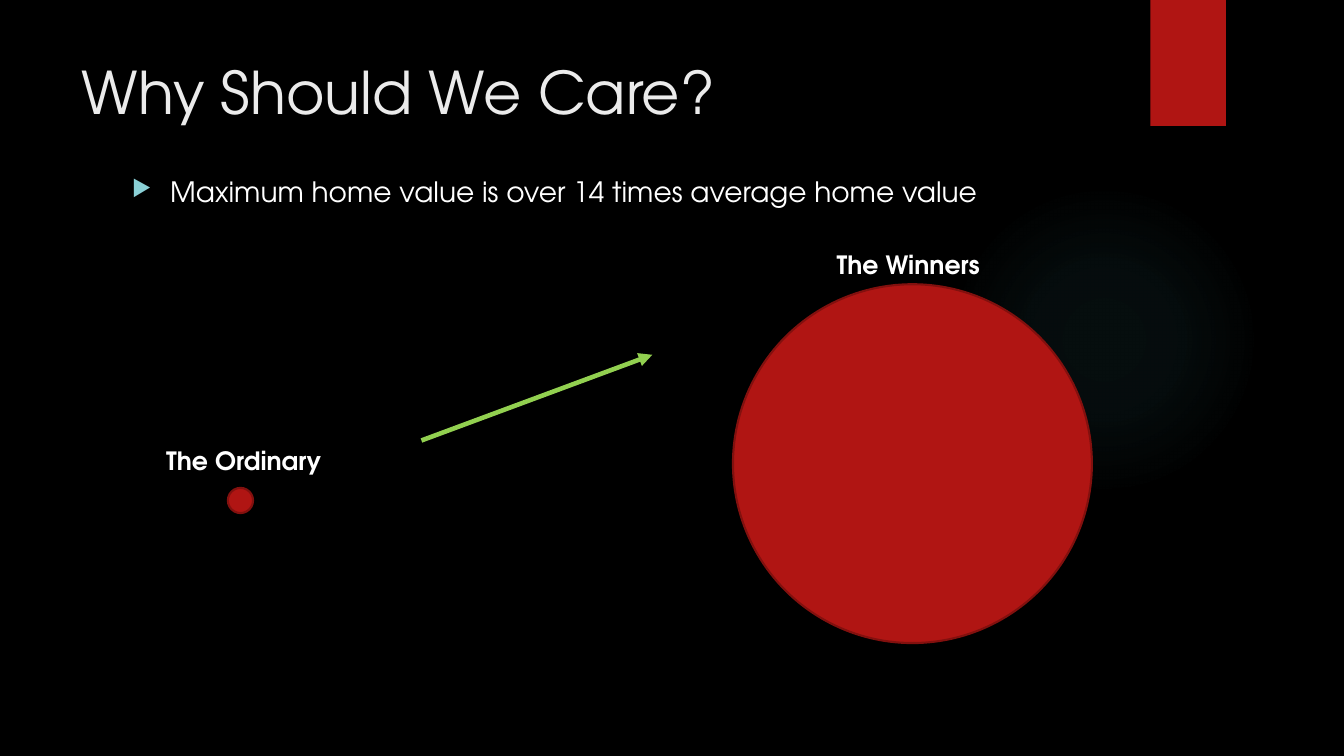
import pptx
import pptx.util
import pptx.dml.color
import pptx.enum.shapes
import pptx.enum.text
import pptx.oxml
import pptx.oxml.ns
from pptx.util import Inches

FONT = "TeX Gyre Adventor"
COLORS = {
    "background": "000000", "glow": "50B9C1", "red": "B01513",
    "outline": "82100E", "arrow": "92D050", "bullet": "8AD0D6",
    "title": "EBEBEB", "text": "FFFFFF",
}
TITLE = {"size": pptx.util.Pt(42), "bold": False, "name": FONT}
BODY = {"size": pptx.util.Pt(20), "bold": False, "name": FONT}
LABEL = {"size": pptx.util.Pt(18), "bold": True, "name": FONT}
SHAPES = pptx.enum.shapes.MSO_SHAPE
NS = pptx.oxml.ns.nsdecls("a")


def rgb(name):
    return pptx.dml.color.RGBColor.from_string(COLORS[name])


def xml(text):
    return pptx.oxml.parse_xml(text)


def write(sp, text, style, color):
    """Put one formatted, left-aligned line at the top of a text shape."""
    tf = sp.text_frame
    frame = {"word_wrap": True,
             "auto_size": pptx.enum.text.MSO_AUTO_SIZE.NONE,
             "vertical_anchor": pptx.enum.text.MSO_ANCHOR.TOP}
    for key, value in frame.items():
        setattr(tf, key, value)
    p = tf.paragraphs[0]
    p.alignment = pptx.enum.text.PP_ALIGN.LEFT
    r = p.add_run()
    r.text = text
    for key, value in style.items():
        setattr(r.font, key, value)
    r.font.color.rgb = rgb(color)
    return p


def add_text(s, box, text, style):
    sp = s.shapes.add_textbox(*map(Inches, box))
    return write(sp, text, style, "text")


def add_bullet(s, box, text):
    p = add_text(s, box, text, BODY)
    p.space_before = pptx.util.Pt(10)
    pPr = p._p.get_or_add_pPr()
    pPr.set("marL", str(Inches(0.38)))
    pPr.set("indent", str(Inches(-0.38)))
    for tag in (f'<a:buClr {NS}><a:srgbClr val="{COLORS["bullet"]}"/></a:buClr>',
                f'<a:buSzPct {NS} val="80000"/>',
                f'<a:buChar {NS} char="▶"/>'):
        pPr.append(xml(tag))


def add_solid(s, kind, box, outline=None):
    sp = s.shapes.add_shape(kind, *map(Inches, box))
    sp.shadow.inherit = False
    sp.fill.solid()
    sp.fill.fore_color.rgb = rgb("red")
    if outline:
        sp.line.color.rgb = rgb(outline)
        sp.line.width = pptx.util.Pt(1.5)
    else:
        sp.line.fill.background()
    return sp


def add_glow(s, box):
    sp = add_solid(s, SHAPES.OVAL, box)
    stops = "".join(
        f'<a:gs pos="{pos * 1000}"><a:srgbClr val="{COLORS["glow"]}">'
        f'<a:alpha val="{alpha * 1000}"/></a:srgbClr></a:gs>'
        for pos, alpha in ((0, 7), (36, 6), (69, 0)))
    spPr = sp._element.spPr
    solid = spPr.find(pptx.oxml.ns.qn("a:solidFill"))
    spPr.replace(solid, xml(
        f'<a:gradFill {NS}><a:gsLst>{stops}</a:gsLst><a:path path="circle">'
        '<a:fillToRect l="50000" t="50000" r="50000" b="50000"/>'
        '</a:path></a:gradFill>'))


def add_ribbon(s, box):
    sp = add_solid(s, SHAPES.RECTANGLE, box)
    effects = sp._element.spPr.find(pptx.oxml.ns.qn("a:effectLst"))
    effects.append(xml(
        f'<a:outerShdw {NS} blurRad="{pptx.util.Pt(3)}" dist="{pptx.util.Pt(2)}" '
        f'dir="5400000" rotWithShape="0"><a:srgbClr val="{COLORS["background"]}">'
        '<a:alpha val="45000"/></a:srgbClr></a:outerShdw>'))


def add_arrow(s, start, end):
    line = s.shapes.add_connector(
        pptx.enum.shapes.MSO_CONNECTOR.STRAIGHT, *map(Inches, start + end))
    line.line.color.rgb = rgb("arrow")
    line.line.width = pptx.util.Pt(3.25)
    line.line._get_or_add_ln().append(xml(f'<a:tailEnd {NS} type="triangle"/>'))
    line._element.spPr.append(xml(f'<a:effectLst {NS}/>'))


def add_title(s, box, text):
    sp = s.shapes.title
    sp.left, sp.top, sp.width, sp.height = map(Inches, box)
    write(sp, text, TITLE, "title")


def main():
    prs = pptx.Presentation()
    prs.slide_width, prs.slide_height = Inches(13.33), Inches(7.5)
    s = prs.slides.add_slide(prs.slide_layouts[5])
    s.background.fill.solid()
    s.background.fill.fore_color.rgb = rgb("background")

    # Backdrop
    add_glow(s, (9.41, 1.83, 3.08, 3.08))
    add_ribbon(s, (11.41, 0, 0.75, 1.25))

    # Heading and statement
    add_title(s, (0.71, 0.5, 10.29, 1.53), "Why Should We Care?")
    add_bullet(s, (1.21, 1.68, 9.78, 4.59),
               "Maximum home value is over 14 times average home value")

    # Circles in proportion, with the arrow between them
    for left, top, size in ((2.26, 4.84, 0.25), (7.27, 2.82, 3.56)):
        add_solid(s, SHAPES.OVAL, (left, top, size, size), "outline")
    add_arrow(s, (4.18, 4.37), (6.47, 3.52))

    # Circle labels
    for left, top, text in ((1.55, 4.37, "The Ordinary"),
                            (8.2, 2.42, "The Winners")):
        add_text(s, (left, top, 1.92, 0.4), text, LABEL)

    prs.save("out.pptx")


if __name__ == "__main__":
    main()
